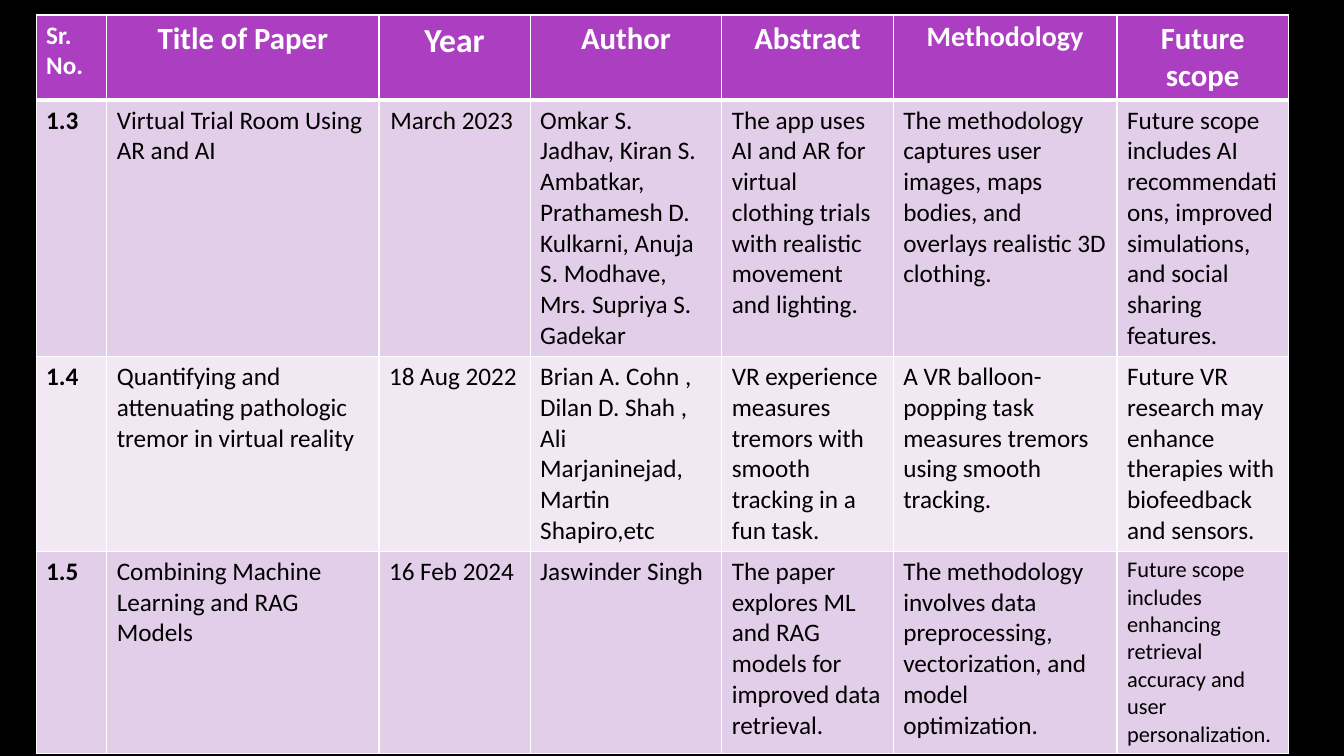
from dataclasses import dataclass

from lxml import etree
from pptx import Presentation
from pptx.dml.color import RGBColor
from pptx.enum.text import PP_ALIGN
from pptx.oxml.ns import qn
from pptx.util import Cm, Pt

LEFT, CENTER = PP_ALIGN.LEFT, PP_ALIGN.CENTER


@dataclass(frozen=True)
class Theme:
    font: str = "Calibri"
    back: str = "000000"
    head: str = "AC3EC1"
    bands: tuple = ("E3CEE9", "F1E8F4")
    light: str = "FFFFFF"
    dark: str = "000000"
    body: int = 18
    small: int = 16
    thin: int = 1
    thick: int = 3


THEME = Theme()

# Column heading, width in cm, heading size
COLS = [
    ("Sr.\nNo.", 1.78, 18),
    ("Title of Paper", 6.86, 22),
    ("Year", 3.81, 24),
    ("Author", 4.83, 22),
    ("Abstract", 4.32, 22),
    ("Methodology", 5.64, 20),
    ("Future scope", 4.32, 22),
]
HEIGHTS = [2.12, 6.46, 4.91, 5.06]

PAPERS = [
    ("1.3", "Virtual Trial Room Using AR and AI", "March 2023 ",
     "Omkar S. Jadhav, Kiran S. Ambatkar, Prathamesh D. Kulkarni, "
     "Anuja S. Modhave, Mrs. Supriya S. Gadekar",
     "The app uses AI and AR for virtual clothing trials with realistic "
     "movement and lighting.",
     "The methodology captures user images, maps bodies, and overlays "
     "realistic 3D clothing.",
     "Future scope includes AI recommendations, improved simulations, "
     "and social sharing features."),
    ("1.4", "Quantifying and attenuating pathologic tremor in virtual reality",
     "18 Aug 2022",
     "Brian A. Cohn , Dilan D. Shah , Ali Marjaninejad, Martin Shapiro,etc",
     "VR experience measures tremors with smooth tracking in a fun task.",
     "A VR balloon-popping task measures tremors using smooth tracking.",
     "Future VR research may enhance therapies with biofeedback and sensors."),
    ("1.5", "Combining Machine Learning and RAG Models", "16 Feb 2024",
     "Jaswinder Singh",
     "The paper explores ML and RAG models for improved data retrieval.",
     "The methodology involves data preprocessing, vectorization, and model "
     "optimization.",
     "Future scope includes enhancing retrieval accuracy and user "
     "personalization."),
]


def add_lines(cell, top, base):
    """Draw the four cell borders; they must come before the fill."""
    props = cell._tc.get_or_add_tcPr()
    sides = {"lnL": THEME.thin, "lnR": THEME.thin, "lnT": top, "lnB": base}
    for spot, (side, width) in enumerate(sides.items()):
        line = etree.Element(qn("a:" + side), w=str(Pt(width)))
        fill = etree.SubElement(line, qn("a:solidFill"))
        etree.SubElement(fill, qn("a:srgbClr"), val=THEME.light)
        props.insert(spot, line)


def fill_cell(cell, text, fill, ink, size, bold, align):
    cell.fill.solid()
    cell.fill.fore_color.rgb = RGBColor.from_string(fill)
    cell.text = text
    style = {"name": THEME.font, "size": Pt(size), "bold": bold}
    for para in cell.text_frame.paragraphs:
        para.alignment = align
        for run in para.runs:
            for key, value in style.items():
                setattr(run.font, key, value)
            run.font.color.rgb = RGBColor.from_string(ink)


def add_head(grid):
    for col, (text, _, size) in enumerate(COLS):
        cell = grid.cell(0, col)
        align = CENTER if col else LEFT
        fill_cell(cell, text, THEME.head, THEME.light, size, True, align)
        add_lines(cell, THEME.thin, THEME.thick)


def add_paper(grid, row, paper):
    fill = THEME.bands[(row - 1) % 2]
    top = THEME.thick if row == 1 else THEME.thin
    for col, text in enumerate(paper):
        cell = grid.cell(row, col)
        last = row == len(PAPERS) and col == len(COLS) - 1
        size = THEME.small if last else THEME.body
        align = CENTER if (row, col) == (1, 2) else LEFT
        fill_cell(cell, text, fill, THEME.dark, size, col == 0, align)
        add_lines(cell, top, THEME.thin)


def add_survey(slide, left, top, width, height):
    """Place the table of papers in the given box."""
    grid = slide.shapes.add_table(len(HEIGHTS), len(COLS),
                                  left, top, width, height).table
    for col, (_, wide, _) in zip(grid.columns, COLS):
        col.width = Cm(wide)
    for row, tall in zip(grid.rows, HEIGHTS):
        row.height = Cm(tall)
    add_head(grid)
    for row, paper in enumerate(PAPERS, 1):
        add_paper(grid, row, paper)


def main():
    deck = Presentation()
    deck.slide_width, deck.slide_height = Cm(33.87), Cm(19.05)
    slide = deck.slides.add_slide(deck.slide_layouts[6])

    # Black backdrop
    back = slide.background.fill
    back.solid()
    back.fore_color.rgb = RGBColor.from_string(THEME.back)

    # Table of papers
    width = sum(wide for _, wide, _ in COLS)
    add_survey(slide, Cm(0.91), Cm(0.38), Cm(width), Cm(sum(HEIGHTS)))
    deck.save("out.pptx")


if __name__ == "__main__":
    main()
